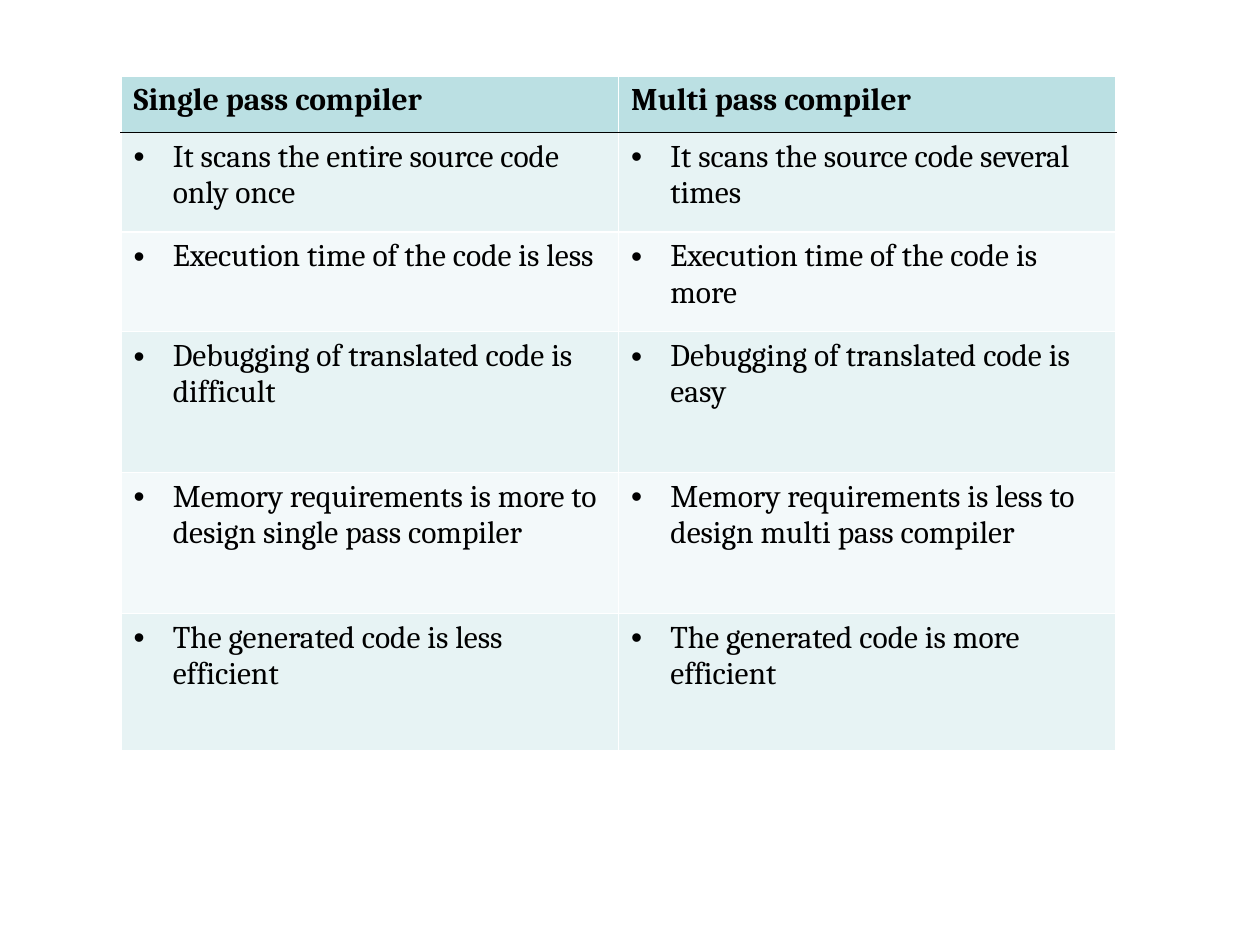
"""Build a slide that compares single pass and multi pass compilers."""
from lxml.etree import SubElement as Sub
from pptx import Presentation as Deck
from pptx.dml.color import RGBColor
from pptx.oxml.ns import qn
from pptx.util import Cm, Pt

HEADS = ("Single pass compiler", "Multi pass compiler")
PAIRS = (
    ("It scans the entire source code only once",
     "It scans the source code several times"),
    ("Execution time of the code is less",
     "Execution time of the code is more"),
    ("Debugging of translated code is difficult",
     "Debugging of translated code is easy"),
    ("Memory requirements is more to design single pass compiler",
     "Memory requirements is less to design multi pass compiler"),
    ("The generated code is less efficient",
     "The generated code is more efficient"),
)
HIGHS = (1.14, 2.01, 2.01, 2.84, 2.84, 2.77)
WIDE = 10.03


def tint(code):
    return RGBColor.from_string(code)


class Page:
    font, size, ink = "Cambria", 18, "000000"
    head, bands, rule = "BBE0E3", ("E7F3F4", "F3F9FA"), "FFFFFF"

    def __init__(self, slide):
        self.slide = slide

    def edge(self, cell, side, code):
        line = Sub(cell._tc.get_or_add_tcPr(), qn(f"a:ln{side}"), w=str(Pt(1)))
        Sub(Sub(line, qn("a:solidFill")), qn("a:srgbClr"), val=code)

    def bullet(self, para):
        props = para._p.get_or_add_pPr()
        props.set("marL", str(Cm(0.79)))
        props.set("indent", str(Cm(-0.79)))
        Sub(props, qn("a:buFont"), typeface="Arial")
        Sub(props, qn("a:buChar"), char="•")

    def cell(self, cell, text, row):
        para = cell.text_frame.paragraphs[0]
        para.text = text
        font = para.runs[0].font
        font.name, font.size, font.bold = self.font, Pt(self.size), row == 0
        font.color.rgb = tint(self.ink)
        if row:
            self.bullet(para)
        dark = {0: "B", 1: "T"}.get(row)
        for side in "LRTB":
            self.edge(cell, side, self.ink if side == dark else self.rule)
        cell.fill.solid()
        shade = self.bands[(row - 1) % 2] if row else self.head
        cell.fill.fore_color.rgb = tint(shade)

    def table(self, left, top, wide, highs, rows):
        count = len(rows[0])
        grid = self.slide.shapes.add_table(
            len(rows), count, Cm(left), Cm(top),
            Cm(wide * count), Cm(sum(highs))).table
        for col in grid.columns:
            col.width = Cm(wide)
        for row, (high, texts) in enumerate(zip(highs, rows)):
            grid.rows[row].height = Cm(high)
            for col, text in enumerate(texts):
                self.cell(grid.cell(row, col), text, row)


def main():
    deck = Deck()
    deck.slide_width, deck.slide_height = Cm(25.4), Cm(19.05)
    page = Page(deck.slides.add_slide(deck.slide_layouts[6]))
    page.table(2.44, 1.53, WIDE, HIGHS, (HEADS, *PAIRS))
    deck.save("out.pptx")


if __name__ == "__main__":
    main()
